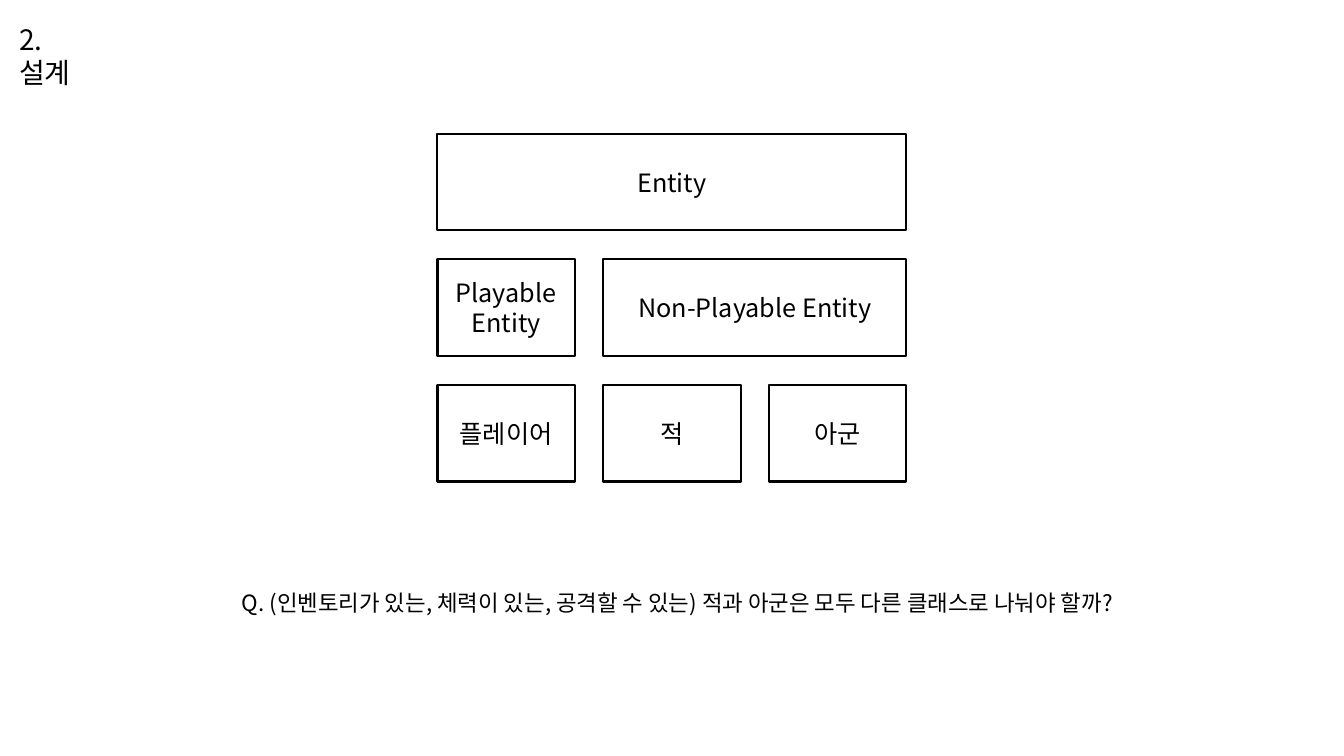
"""Build the entity class hierarchy slide."""
from dataclasses import dataclass

from lxml import etree
from pptx import Presentation
from pptx.dml.color import RGBColor
from pptx.enum.shapes import MSO_SHAPE
from pptx.enum.text import MSO_ANCHOR, MSO_AUTO_SIZE, PP_ALIGN
from pptx.oxml.ns import qn
from pptx.util import Pt

RECT = MSO_SHAPE.RECTANGLE
LEFT, CENTER = PP_ALIGN.LEFT, PP_ALIGN.CENTER
TOP, MIDDLE = MSO_ANCHOR.TOP, MSO_ANCHOR.MIDDLE
GROW = MSO_AUTO_SIZE.SHAPE_TO_FIT_TEXT
TITLE_ONLY = 5


@dataclass(frozen=True)
class Theme:
    """Colours, font and type sizes."""
    ink: RGBColor = RGBColor(0, 0, 0)
    paper: RGBColor = RGBColor(255, 255, 255)
    font: str = "Noto Sans CJK KR"
    title: float = 20
    label: float = 18
    note: float = 16
    line: float = 1.5


def write(tf, text, *, theme, size, align=CENTER, anchor=TOP):
    """Fill a text frame, one paragraph per line of text."""
    tf.word_wrap = True
    tf.vertical_anchor = anchor
    for i, line in enumerate(text.split("\n")):
        p = tf.add_paragraph() if i else tf.paragraphs[0]
        p.alignment = align
        r = p.add_run()
        r.text = line
        r.font.name = theme.font
        r.font.size = Pt(size)
        r.font.color.rgb = theme.ink
        rpr = r._r.get_or_add_rPr()
        etree.SubElement(rpr, qn("a:ea"), typeface=theme.font)


class SlideBuilder:
    """Holds the theme and the current slide."""

    def __init__(self, prs, theme):
        """Add a title-only slide."""
        self.theme = theme
        self.s = prs.slides.add_slide(prs.slide_layouts[TITLE_ONLY])
        fill = self.s.background.fill
        fill.solid()
        fill.fore_color.rgb = theme.paper

    def title(self, text, x, y, w, h):
        """Place and format the title placeholder."""
        sp = self.s.shapes.title
        sp.left, sp.top, sp.width, sp.height = Pt(x), Pt(y), Pt(w), Pt(h)
        tf = sp.text_frame
        tf.auto_size = GROW
        tf.margin_right = Pt(12)
        write(tf, text, theme=self.theme, size=self.theme.title, align=LEFT)

    def box(self, text, x, y, w, h):
        """Add an outlined box with a centred label."""
        sp = self.s.shapes.add_shape(RECT, Pt(x), Pt(y), Pt(w), Pt(h))
        sp.shadow.inherit = False
        sp.fill.solid()
        sp.fill.fore_color.rgb = self.theme.paper
        sp.line.color.rgb = self.theme.ink
        sp.line.width = Pt(self.theme.line)
        write(sp.text_frame, text, theme=self.theme, size=self.theme.label,
              anchor=MIDDLE)

    def note(self, text, x, y, w, h):
        """Add a centred text box."""
        sp = self.s.shapes.add_textbox(Pt(x), Pt(y), Pt(w), Pt(h))
        sp.text_frame.auto_size = GROW
        write(sp.text_frame, text, theme=self.theme, size=self.theme.note)

    def hierarchy(self, rows, x, y, w, h, gap_x, gap_y):
        """Stack rows of boxes, each spanning a number of columns."""
        for i, row in enumerate(rows):
            col = 0
            for text, span in row:
                self.box(text, x + col * (w + gap_x), y + i * (h + gap_y),
                         span * (w + gap_x) - gap_x, h)
                col += span


def main():
    """Build and save the slide."""
    prs = Presentation()
    prs.slide_width, prs.slide_height = Pt(960), Pt(540)
    slide = SlideBuilder(prs, Theme())
    slide.title("2. 설계", 6.5, 12.25, 72, 31.5)
    rows = [
        [("Entity", 3)],
        [("Playable\nEntity", 1), ("Non-Playable Entity", 2)],
        [("플레이어", 1), ("적", 1), ("아군", 1)],
    ]
    slide.hierarchy(rows, x=312.5, y=95.5, w=98, h=69, gap_x=20.5, gap_y=20.75)
    slide.note("Q. (인벤토리가 있는, 체력이 있는, 공격할 수 있는) "
               "적과 아군은 모두 다른 클래스로 나눠야 할까?",
               162, 417.5, 636, 26.5)
    prs.save("out.pptx")


if __name__ == "__main__":
    main()
